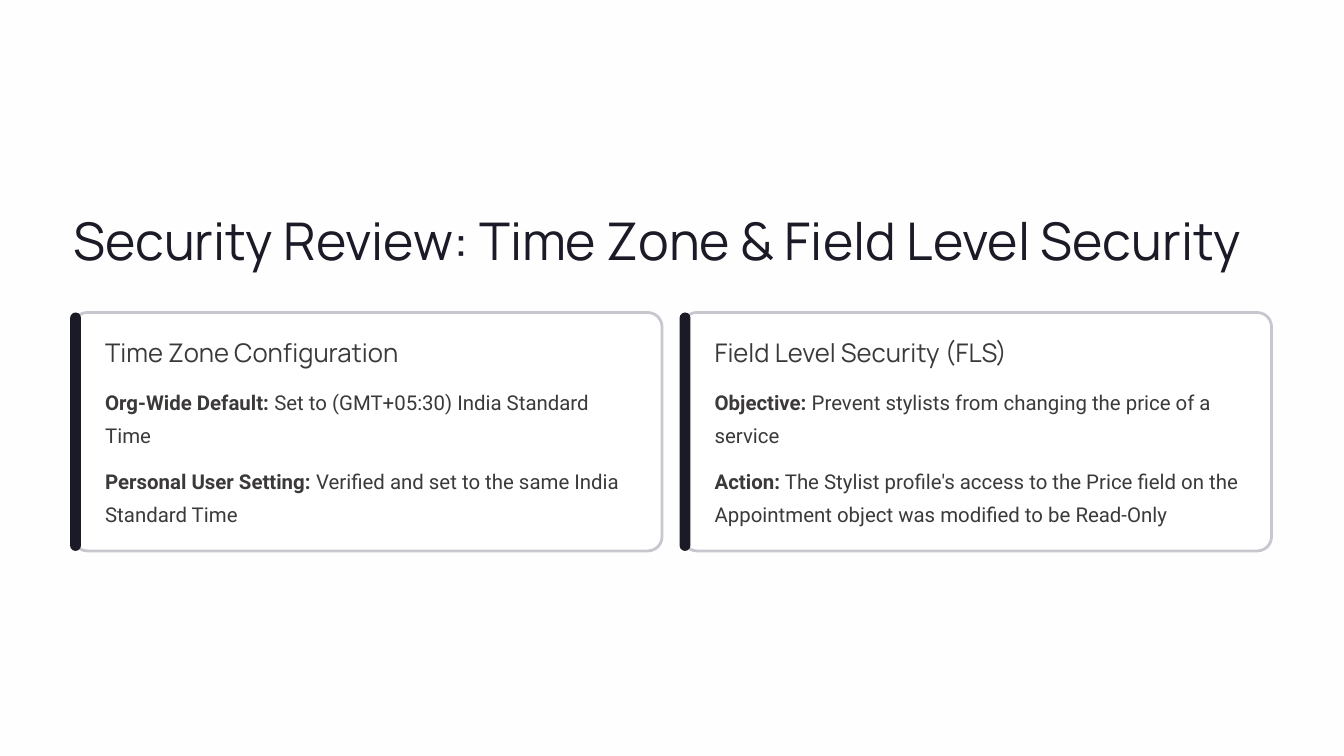
from pptx import Presentation
from pptx.dml.color import RGBColor
from pptx.enum.shapes import MSO_SHAPE as Preset
from pptx.enum.text import MSO_ANCHOR as Anchor, MSO_AUTO_SIZE as AutoSize, PP_ALIGN as Align
from pptx.util import Cm, Pt


def paint(color, hex_code):
    """Set a font, fill or line colour from a hex string."""
    color.rgb = RGBColor.from_string(hex_code)


class SlideBuilder:
    """Holds the style and the slide being built."""

    INK, BODY, BORDER, PAPER, BACKDROP = "1B1B27", "3C3939", "C7C7D0", "FFFFFF", "FEFEFE"
    HEADING_FONT, BODY_FONT = "Manrope", "Roboto"

    def __init__(self, deck):
        """Add a title-only slide with a plain background."""
        self.slide = deck.slides.add_slide(deck.slide_layouts[5])
        backdrop = self.slide.background.fill
        backdrop.solid()
        paint(backdrop.fore_color, self.BACKDROP)

    def set_text(self, holder, runs, font, size, hex_code, spacing, wrap):
        """Fill a text holder with one paragraph of (text, bold) runs."""
        frame = holder.text_frame
        frame.margin_left = frame.margin_right = frame.margin_top = frame.margin_bottom = 0
        frame.auto_size = AutoSize.NONE
        frame.word_wrap = wrap
        frame.vertical_anchor = Anchor.TOP
        paragraph = frame.paragraphs[0]
        paragraph.alignment = Align.LEFT
        paragraph.line_spacing = Pt(spacing)
        paragraph.font.name = font
        paragraph.font.size = Pt(size)
        paint(paragraph.font.color, hex_code)
        for text, bold in runs:
            run = paragraph.add_run()
            run.text = text
            run.font.bold = bold

    def title(self, text, left, top, width, height):
        """Place and format the slide title."""
        title = self.slide.shapes.title
        title.left, title.top, title.width, title.height = map(Cm, (left, top, width, height))
        self.set_text(title, [(text, False)], self.HEADING_FONT, 44.5, self.INK, 55.5, False)

    def heading(self, text, left, top, width, height):
        """Add a card heading."""
        box = self.slide.shapes.add_textbox(*map(Cm, (left, top, width, height)))
        self.set_text(box, [(text, False)], self.HEADING_FONT, 22, self.BODY, 27.5, False)

    def detail(self, label, text, left, top, width, height):
        """Add a wrapped detail that opens with a bold label."""
        box = self.slide.shapes.add_textbox(*map(Cm, (left, top, width, height)))
        runs = [(label, True), (" " + text, False)]
        self.set_text(box, runs, self.BODY_FONT, 17.5, self.BODY, 28.5, True)

    def panel(self, left, top, width, height, rounding, fill, border=None):
        """Add a rounded rectangle, outlined if a border colour is given."""
        panel = self.slide.shapes.add_shape(
            Preset.ROUNDED_RECTANGLE, *map(Cm, (left, top, width, height)))
        panel.shadow.inherit = False
        panel.adjustments[0] = rounding
        panel.fill.solid()
        paint(panel.fill.fore_color, fill)
        if border:
            paint(panel.line.color, border)
            panel.line.width = Pt(2.4)
        else:
            panel.line.fill.background()

    def card(self, left, top, heading, details):
        """Add a card with an accent bar, a heading and its details."""
        self.panel(left, top, 17.81, 7.21, 0.06, self.PAPER, self.BORDER)
        self.panel(left - 0.09, top, 0.33, 7.21, 0.5, self.INK)
        text_left = left + 0.97
        self.heading(heading, text_left, top + 0.71, 9.1, 0.99)
        for row, (label, text) in enumerate(details):
            self.detail(label, text, text_left, top + 2.08 + row * 2.39, 16.13, 2.01)


CARDS = [
    ("Time Zone Configuration", [
        ("Org-Wide Default:", "Set to (GMT+05:30) India Standard Time"),
        ("Personal User Setting:", "Verified and set to the same India Standard Time"),
    ]),
    ("Field Level Security (FLS)", [
        ("Objective:", "Prevent stylists from changing the price of a service"),
        ("Action:", "The Stylist profile's access to the Price field on the "
                    "Appointment object was modified to be Read-Only"),
    ]),
]


def main():
    """Build the security review slide."""
    deck = Presentation()
    deck.slide_width, deck.slide_height = Cm(40.64), Cm(22.86)
    review = SlideBuilder(deck)
    review.title("Security Review: Time Zone & Field Level Security", 2.21, 6.22, 36.2, 1.98)
    for column, (heading, details) in enumerate(CARDS):
        review.card(2.21 + column * 18.43, 9.45, heading, details)
    deck.save("out.pptx")


if __name__ == "__main__":
    main()
